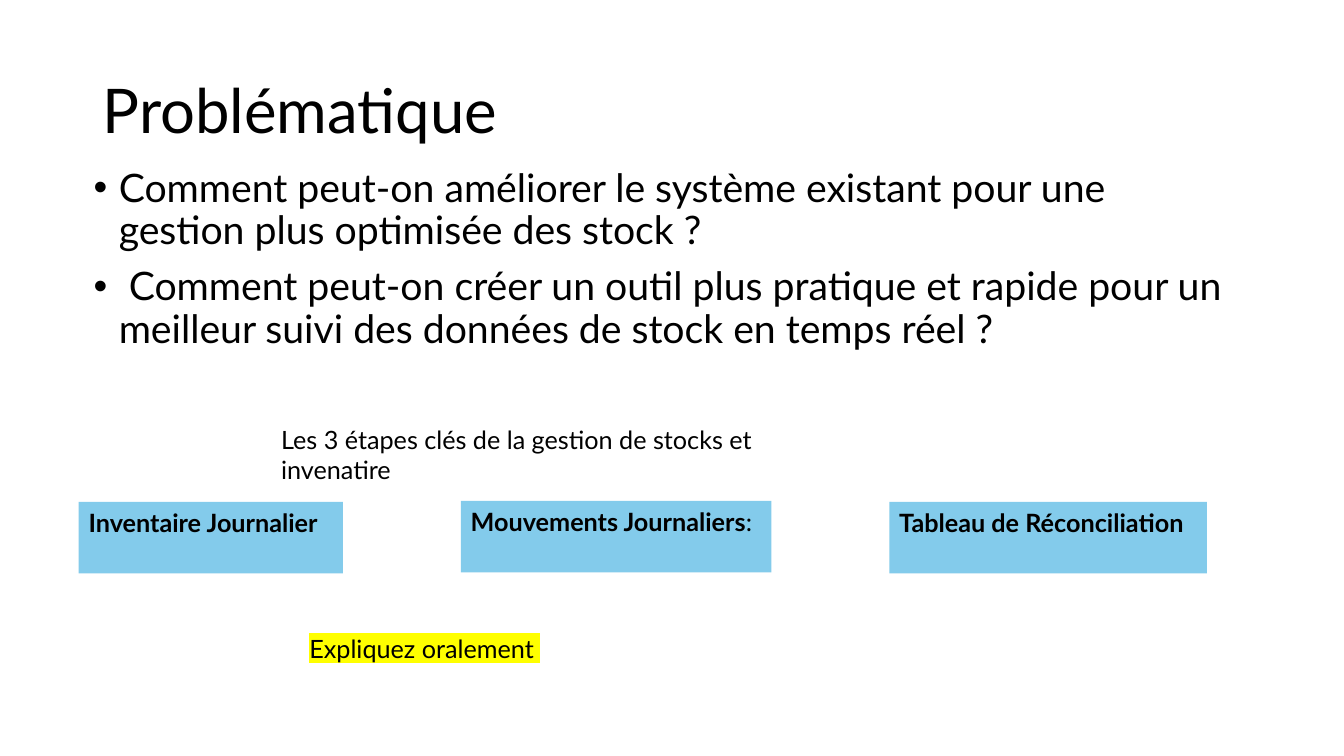
from dataclasses import dataclass

from lxml import etree
from pptx import Presentation
from pptx.dml.color import RGBColor
from pptx.enum.shapes import MSO_SHAPE
from pptx.enum.text import MSO_ANCHOR, PP_ALIGN
from pptx.oxml.ns import qn
from pptx.util import Inches, Pt

RECT = MSO_SHAPE.RECTANGLE
TOP, MIDDLE = MSO_ANCHOR.TOP, MSO_ANCHOR.MIDDLE
LEFT = PP_ALIGN.LEFT


@dataclass(frozen=True)
class Theme:
    font: str = "Lato"
    ink: str = "000000"
    step_fill: str = "83CBEB"
    marker: str = "FFFF00"
    title_size: int = 44
    body_size: int = 28
    label_size: int = 18


@dataclass(frozen=True)
class Box:
    text: str
    x: float
    y: float
    w: float
    h: float


@dataclass(frozen=True)
class Step:
    box: Box
    suffix: str = ""


THEME = Theme()

TITLE = Box("Problématique", 0.92, 0.4, 11.5, 1.45)
QUESTIONS = Box(
    "Comment peut-on améliorer le système existant pour une gestion plus "
    "optimisée des stock ?\n"
    " Comment peut-on créer un outil plus pratique et rapide pour un "
    "meilleur suivi des données de stock en temps réel ?",
    0.83, 1.62, 11.5, 2.13)
CAPTION = Box("Les 3 étapes clés de la gestion de stocks et invenatire",
              2.69, 4.16, 5.97, 0.71)
REMARK = Box("Expliquez oralement ", 2.97, 6.23, 7.57, 0.4)
STEPS = [
    Step(Box("Inventaire Journalier", 0.78, 4.98, 2.62, 0.71)),
    Step(Box("Mouvements Journaliers", 4.57, 4.97, 3.08, 0.71), ":"),
    Step(Box("Tableau de Réconciliation", 8.82, 4.98, 3.15, 0.71)),
]


def style_run(r, size: int, bold: bool = False) -> None:
    r.font.name = THEME.font
    r.font.size = Pt(size)
    r.font.bold = bold
    r.font.color.rgb = RGBColor.from_string(THEME.ink)


def place(box: Box) -> tuple:
    return Inches(box.x), Inches(box.y), Inches(box.w), Inches(box.h)


def add_text(s, box: Box, size: int, anchor=TOP):
    tf = s.shapes.add_textbox(*place(box)).text_frame
    tf.word_wrap = True
    tf.vertical_anchor = anchor
    tf.text = box.text
    for p in tf.paragraphs:
        for r in p.runs:
            style_run(r, size)
    return tf


def add_bullet(p) -> None:
    pPr = p._p.get_or_add_pPr()
    pPr.set("marL", str(Inches(0.25)))
    pPr.set("indent", str(Inches(-0.25)))
    etree.SubElement(pPr, qn("a:buFont")).set("typeface", "Arial")
    etree.SubElement(pPr, qn("a:buChar")).set("char", "•")


def highlight(r, color: str) -> None:
    mark = etree.Element(qn("a:highlight"))
    etree.SubElement(mark, qn("a:srgbClr")).set("val", color)
    r.font._element.find(qn("a:solidFill")).addnext(mark)


def add_step(s, step: Step) -> None:
    sp = s.shapes.add_shape(RECT, *place(step.box))
    sp.shadow.inherit = False
    sp.fill.solid()
    sp.fill.fore_color.rgb = RGBColor.from_string(THEME.step_fill)
    sp.line.fill.background()
    tf = sp.text_frame
    tf.word_wrap = True
    tf.vertical_anchor = TOP
    tf.text = step.box.text
    p = tf.paragraphs[0]
    p.alignment = LEFT
    style_run(p.runs[0], THEME.label_size, bold=True)
    if step.suffix:
        r = p.add_run()
        r.text = step.suffix
        style_run(r, THEME.label_size)


def main() -> None:
    prs = Presentation()
    prs.slide_width, prs.slide_height = Inches(13.33), Inches(7.5)
    s = prs.slides.add_slide(prs.slide_layouts[6])

    # Title
    tf = add_text(s, TITLE, THEME.title_size, MIDDLE)
    tf.paragraphs[0].line_spacing = 0.9

    # Bulleted questions
    for p in add_text(s, QUESTIONS, THEME.body_size).paragraphs:
        p.line_spacing = 0.9
        p.space_before = Pt(10)
        add_bullet(p)

    # Key steps and their caption
    for step in STEPS:
        add_step(s, step)
    add_text(s, CAPTION, THEME.label_size)

    # Highlighted remark
    tf = add_text(s, REMARK, THEME.label_size)
    highlight(tf.paragraphs[0].runs[0], THEME.marker)

    prs.save("out.pptx")


if __name__ == "__main__":
    main()
